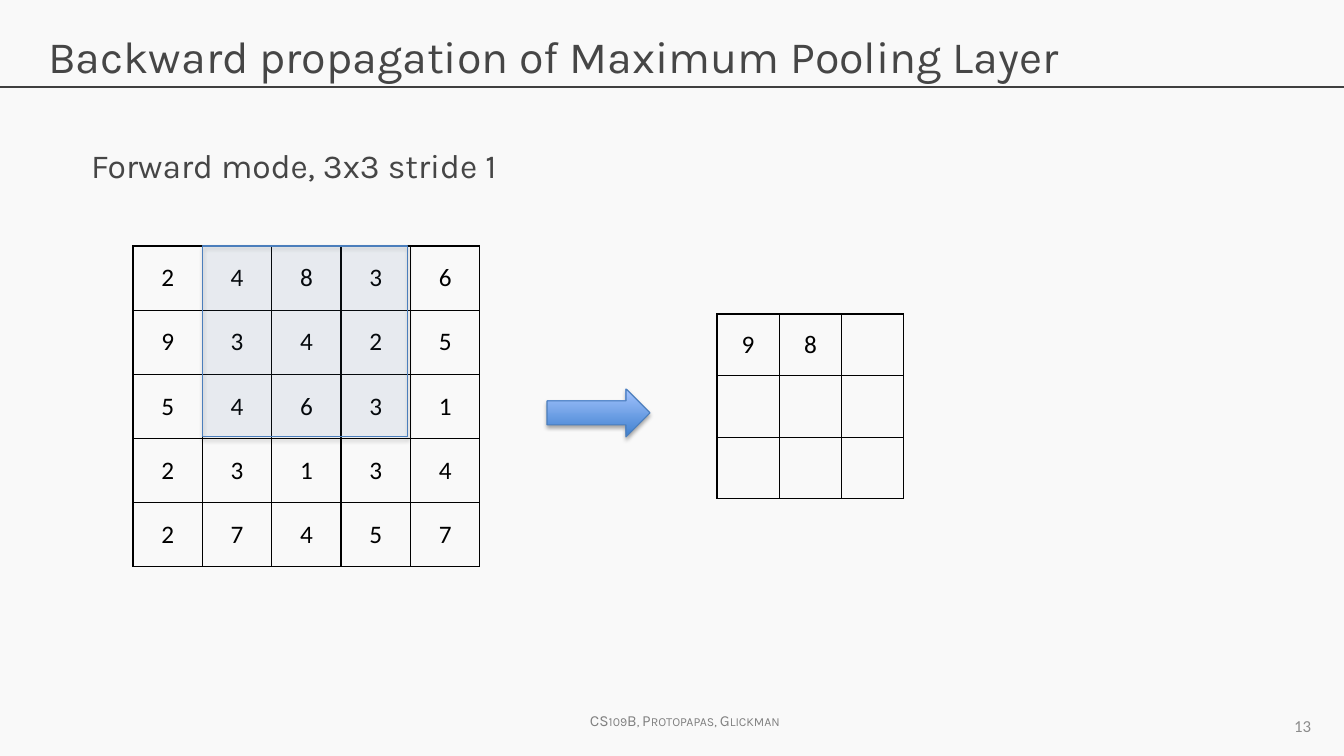
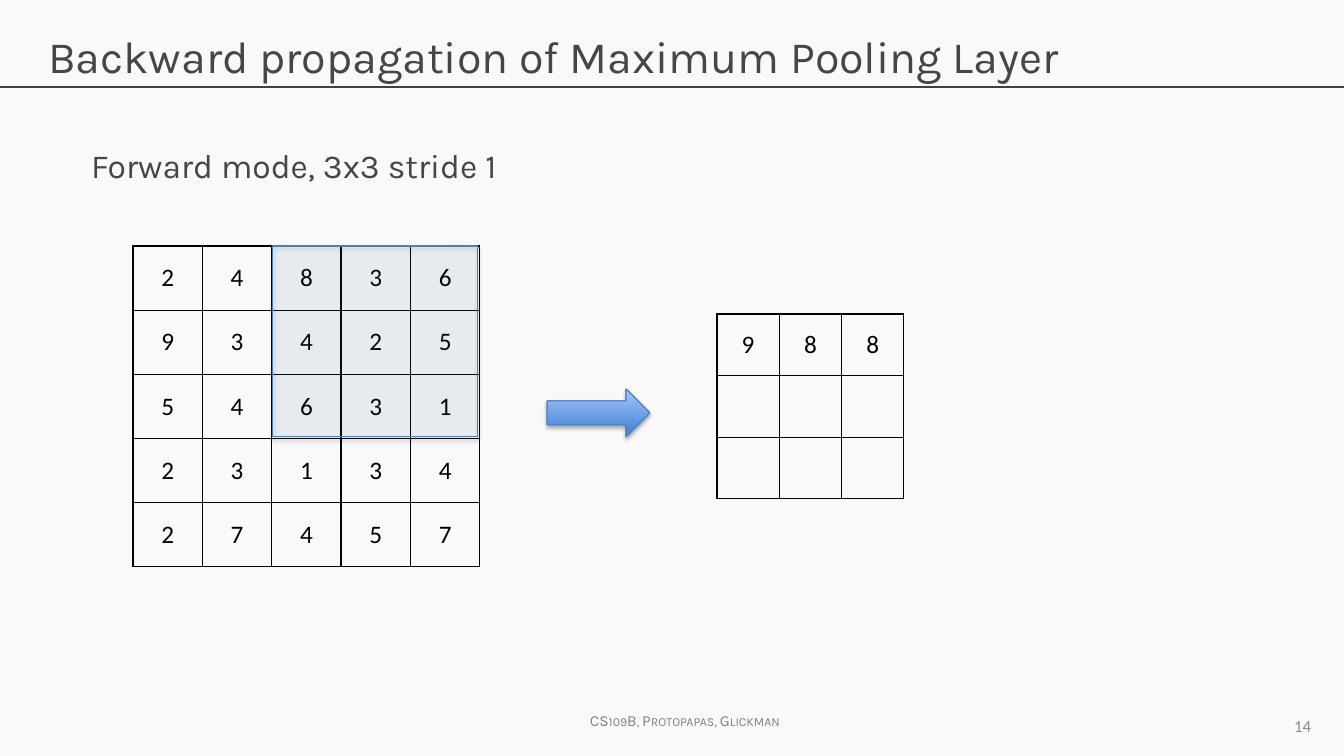
import pptx
import pptx.dml.color
import pptx.enum.dml
import pptx.enum.shapes
import pptx.enum.text
import pptx.oxml
import pptx.oxml.ns
import pptx.util

SLIDE_WIDTH, SLIDE_HEIGHT = 1344, 756
SCALE = 12192000 / SLIDE_WIDTH
COLORS = {
    "background": "F9F9F9",
    "rule": "404040",
    "text": "464646",
    "footer": "808080",
    "number": "8C8C8C",
    "grid": "000000",
    "window": "4F81BD",
    "outline": "4B7EBC",
    "arrow_bottom": "3F80CE",
    "arrow_top": "A4C4FF",
}
HEADING_FONT, NUMBER_FONT = "Karla", "Calibri"
ALIGN = pptx.enum.text.PP_ALIGN
ANCHOR = pptx.enum.text.MSO_ANCHOR
SHAPE = pptx.enum.shapes.MSO_SHAPE

TITLE = "Backward propagation of Maximum Pooling Layer"
SUBTITLE = "Forward mode, 3x3 stride 1"
FOOTER = "CS109B, Protopapas, Glickman"
INPUT = ["24836", "93425", "54631", "23134", "27457"]
KERNEL = 3
STEPS = [
    {"number": 13, "offset": 1, "output": ["98 ", "   ", "   "]},
    {"number": 14, "offset": 2, "output": ["988", "   ", "   "]},
]


def px(value):
    return pptx.util.Emu(round(value * SCALE))


def emu_box(box):
    return [px(value) for value in box]


def color(name):
    return pptx.dml.color.RGBColor.from_string(COLORS[name])


def element(xml):
    return pptx.oxml.parse_xml(xml.replace(" ", f" {pptx.oxml.ns.nsdecls('a')} ", 1))


def style_font(font, name, size, color_name):
    font.name = name
    font.size = pptx.util.Pt(size)
    font.color.rgb = color(color_name)


def write_text(frame, text, font_name, size, color_name, align=ALIGN.LEFT, anchor=ANCHOR.TOP):
    frame.text = text
    frame.word_wrap = True
    frame.auto_size = pptx.enum.text.MSO_AUTO_SIZE.NONE
    frame.vertical_anchor = anchor
    paragraph = frame.paragraphs[0]
    paragraph.alignment = align
    style_font(paragraph.runs[0].font, font_name, size, color_name)
    return paragraph


def place(shape, box):
    shape.left, shape.top, shape.width, shape.height = emu_box(box)


def add_title(slide, box):
    title = slide.shapes.title
    place(title, box)
    write_text(title.text_frame, TITLE, HEADING_FONT, 32, "text")
    left, top, width, height = box
    rule = slide.shapes.add_connector(
        pptx.enum.shapes.MSO_CONNECTOR.STRAIGHT,
        *emu_box((0, top + 63, SLIDE_WIDTH, top + 63)))
    rule.line.color.rgb = color("rule")
    rule.line.width = pptx.util.Pt(0.75)
    rule._element.spPr.append(element("<a:effectLst />"))


def add_subtitle(slide, box):
    body = slide.placeholders[1]
    place(body, box)
    paragraph = write_text(body.text_frame, SUBTITLE, HEADING_FONT, 24, "text")
    properties = paragraph._p.get_or_add_pPr()
    properties.set("marL", "0")
    properties.set("indent", "0")
    properties.append(element("<a:buNone />"))
    paragraph.space_before = pptx.util.Pt(0)
    paragraph.space_after = pptx.util.Pt(12)


def add_footer(slide, box):
    footer = slide.shapes.add_textbox(*emu_box(box))
    paragraph = write_text(footer.text_frame, FOOTER, HEADING_FONT, 11, "footer")
    footer.text_frame.word_wrap = False
    paragraph.runs[0].font._element.set("cap", "small")


def add_slide_number(slide, box, number):
    label = slide.shapes.add_textbox(*emu_box(box))
    write_text(label.text_frame, str(number), NUMBER_FONT, 12, "number",
               ALIGN.RIGHT, ANCHOR.MIDDLE)


def draw_borders(cell):
    properties = cell._tc.get_or_add_tcPr()
    for side in "LRTB":
        properties.append(element(
            f'<a:ln{side} w="12700"><a:solidFill><a:srgbClr val="{COLORS["grid"]}"/>'
            f"</a:solidFill></a:ln{side}>"))


def add_grid(slide, box, rows):
    left, top, width, height = emu_box(box)
    row_count, column_count = len(rows), len(rows[0])
    table = slide.shapes.add_table(
        row_count, column_count, left, top, width, height).table
    table.first_row = table.horz_banding = False
    for column in table.columns:
        column.width = width // column_count
    for row, values in zip(table.rows, rows):
        row.height = height // row_count
        for cell, value in zip(row.cells, values):
            draw_borders(cell)
            cell.fill.background()
            cell.vertical_anchor = ANCHOR.MIDDLE
            paragraph = cell.text_frame.paragraphs[0]
            paragraph.text = value.strip()
            paragraph.alignment = ALIGN.CENTER
            for run in paragraph.runs:
                style_font(run.font, NUMBER_FONT, 18, "grid")


def add_raised_shape(slide, kind, box):
    shape = slide.shapes.add_shape(kind, *emu_box(box))
    shape.line.color.rgb = color("outline")
    shape.line.width = pptx.util.Pt(0.75)
    shape.shadow.inherit = False
    effects = shape._element.spPr.find(pptx.oxml.ns.qn("a:effectLst"))
    effects.append(element(
        '<a:outerShdw blurRad="40000" dist="23000" dir="5400000" rotWithShape="0">'
        '<a:srgbClr val="000000"><a:alpha val="35000"/></a:srgbClr></a:outerShdw>'))
    return shape


def add_window(slide, grid_box, offset):
    left, top, width, height = grid_box
    cell_width, cell_height = width / len(INPUT[0]), height / len(INPUT)
    window = add_raised_shape(slide, SHAPE.RECTANGLE, (
        round(left + offset * cell_width) + 1, top,
        round(KERNEL * cell_width) - 3, round(KERNEL * cell_height) - 2))
    window.fill.solid()
    window.fill.fore_color.rgb = color("window")
    fill_color = window._element.spPr.find(
        f"{pptx.oxml.ns.qn('a:solidFill')}/{pptx.oxml.ns.qn('a:srgbClr')}")
    fill_color.append(element('<a:alpha val="7000"/>'))


def add_arrow(slide, box):
    arrow = add_raised_shape(slide, SHAPE.RIGHT_ARROW, box)
    arrow.fill.gradient()
    arrow.fill.gradient_angle = 90
    for stop, position, name in zip(
            arrow.fill.gradient_stops, (0, 1), ("arrow_bottom", "arrow_top")):
        stop.position = position
        stop.color.rgb = color(name)


def add_pooling_slide(presentation, number, offset, output):
    slide = presentation.slides.add_slide(presentation.slide_layouts[1])
    input_box = (133, 246, 347, 321)
    add_title(slide, (38, 24, 1267, 85))
    add_subtitle(slide, (81, 140, 1138, 90))
    add_footer(slide, (580, 706, 221, 29))
    add_slide_number(slide, (1008, 706, 313, 40), number)
    add_grid(slide, input_box, INPUT)
    add_window(slide, input_box, offset)
    add_arrow(slide, (547, 389, 103, 48))
    add_grid(slide, (717, 314, 187, 185), output)


def main():
    presentation = pptx.Presentation()
    presentation.slide_width = px(SLIDE_WIDTH)
    presentation.slide_height = px(SLIDE_HEIGHT)
    background = presentation.slide_master.background.fill
    background.solid()
    background.fore_color.rgb = color("background")
    for step in STEPS:
        add_pooling_slide(presentation, **step)
    presentation.save("out.pptx")


if __name__ == "__main__":
    main()
